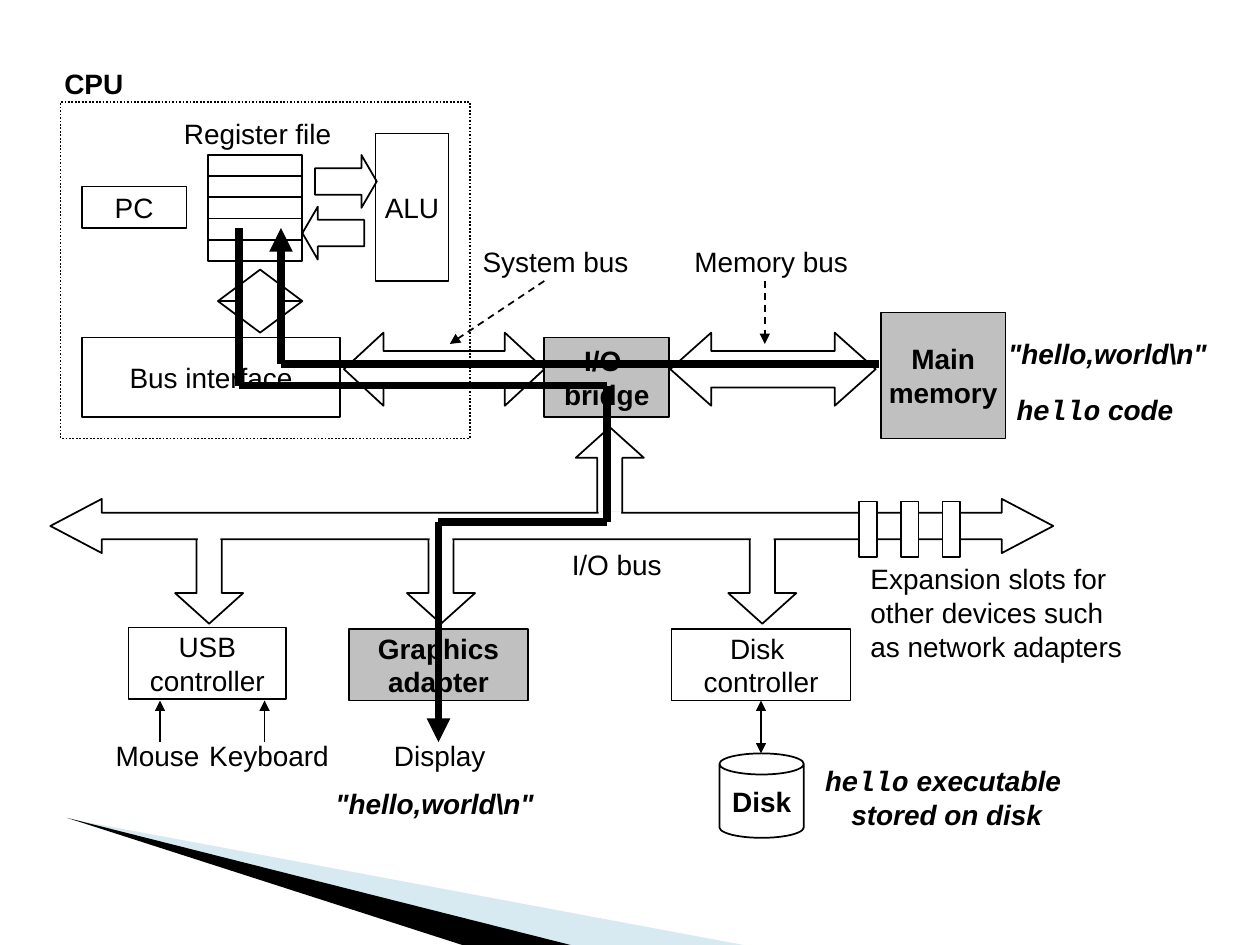
import itertools

import pptx
import pptx.dml.color
import pptx.enum.dml
import pptx.enum.shapes
import pptx.enum.text
import pptx.oxml
import pptx.oxml.ns
import pptx.util
from pptx.util import Inches

BLACK = pptx.dml.color.RGBColor(0x00, 0x00, 0x00)
WHITE = pptx.dml.color.RGBColor(0xFF, 0xFF, 0xFF)
GREY = pptx.dml.color.RGBColor(0xC0, 0xC0, 0xC0)
PALE_BLUE = pptx.dml.color.RGBColor(0x9F, 0xCB, 0xDC)

SHAPE = pptx.enum.shapes.MSO_SHAPE
DASH = pptx.enum.dml.MSO_LINE
ALIGN = pptx.enum.text.PP_ALIGN
ARIAL = "Arial"
MONO = "Courier New"
BOLD = {"bold": True}
STRONG = {"bold": True, "italic": True}
GREETING = '"hello,world\\n"'


def place(box, x, y):
    return Inches(box[0] + x), Inches(box[1] + y)


def add_element(parent, tag, **values):
    element = pptx.oxml.parse_xml(f'<a:{tag} {pptx.oxml.ns.nsdecls("a")}/>')
    for name, value in values.items():
        element.set(name, value)
    parent.append(element)


def write(shape, lines, style=None, align=ALIGN.CENTER):
    frame = shape.text_frame
    frame.word_wrap = False
    frame.vertical_anchor = pptx.enum.text.MSO_ANCHOR.MIDDLE
    for index, line in enumerate(lines):
        para = frame.add_paragraph() if index else frame.paragraphs[0]
        para.alignment = align
        for text, font_name in [(line, ARIAL)] if isinstance(line, str) else line:
            span = para.add_run()
            span.text = text
            span.font.color.rgb = BLACK
            values = {"name": font_name, "size": pptx.util.Pt(16), **(style or {})}
            for name, value in values.items():
                setattr(span.font, name, value)


def add_label(page, box, x, y, width, lines, style=None, align=ALIGN.CENTER, height=0.37):
    label = page.shapes.add_textbox(*place(box, x, y), Inches(width), Inches(height))
    write(label, lines, style, align)
    left, right = (0.1, 0) if align == ALIGN.LEFT else (0.04, 0.04)
    label.text_frame.margin_left = Inches(left)
    label.text_frame.margin_right = Inches(right)
    label.text_frame.auto_size = pptx.enum.text.MSO_AUTO_SIZE.NONE


def add_block(page, box, x, y, width, height, kind=SHAPE.RECTANGLE, fill=None,
              outlined=True, lines=(), style=None, adjust=(), turn=0):
    block = page.shapes.add_shape(kind, *place(box, x, y), Inches(width), Inches(height))
    block.shadow.inherit = False
    block.rotation = turn
    for index, value in enumerate(adjust):
        block.adjustments[index] = value
    if fill is None:
        block.fill.background()
    else:
        block.fill.solid()
        block.fill.fore_color.rgb = fill
    if outlined:
        block.line.color.rgb = BLACK
        block.line.width = pptx.util.Pt(1)
    else:
        block.line.fill.background()
    write(block, lines, style)
    return block


def add_line(page, box, start, end, width=1, dash=None, heads=()):
    line = page.shapes.add_connector(
        pptx.enum.shapes.MSO_CONNECTOR.STRAIGHT, *place(box, *start), *place(box, *end))
    line.line.color.rgb = BLACK
    line.line.width = pptx.util.Pt(width)
    if dash:
        line.line.dash_style = dash
    for head in heads:
        add_element(line.line._get_or_add_ln(), head, type="triangle")
    add_element(line._element.spPr, "effectLst")
    return line


def add_wedge(page, box, points, fill, opacity=None):
    corners = [place(box, *point) for point in points]
    builder = page.shapes.build_freeform(*corners[0])
    builder.add_line_segments(corners[1:])
    wedge = builder.convert_to_shape()
    wedge.shadow.inherit = False
    wedge.fill.solid()
    wedge.fill.fore_color.rgb = fill
    wedge.line.fill.background()
    if opacity:
        colour = wedge._element.spPr.find(".//" + pptx.oxml.ns.qn("a:srgbClr"))
        add_element(colour, "alpha", val=str(opacity * 1000))


def draw_backdrop(page, box):
    add_wedge(page, box, [(0.02, 0.01), (5.37, 1.01), (3.99, 1.01)], PALE_BLUE, 40)
    add_wedge(page, box, [(0, 0), (4, 1.01), (3.14, 1.01)], BLACK)


def draw_cpu(page, box):
    frame = add_block(page, box, 0, 0, 3.25, 2.67)
    frame.line.dash_style = DASH.ROUND_DOT
    add_label(page, box, -0.07, -0.33, 0.67, ["CPU"], BOLD)
    add_block(page, box, 0.17, 0.67, 0.83, 0.33, lines=["PC"])
    add_block(page, box, 0.17, 1.87, 2.05, 0.63, lines=["Bus interface"])
    add_label(page, box, 0.88, 0.06, 1.37, ["Register file"])
    height = 0.84 / 5
    for row in range(5):
        add_block(page, box, 1.17, 0.42 + row * height, 0.75, height)
    for x, y, turn in [(2.02, 0.42, 0), (1.92, 0.83, 180)]:
        add_block(page, box, x, y, 0.49, 0.42, SHAPE.RIGHT_ARROW, adjust=(0.5, 0.29), turn=turn)
    add_block(page, box, 2.5, 0.25, 0.58, 1.17, lines=["ALU"])
    add_block(page, box, 1.25, 1.33, 0.67, 0.5, SHAPE.UP_DOWN_ARROW, adjust=(0.5, 0.2)[::-1])


def draw_memory_path(page, box):
    for x, width, head in [(0, 1.59, 0.54), (2.59, 1.63, 0.56)]:
        add_block(page, box, x, 0.75, width, 0.58, SHAPE.LEFT_RIGHT_ARROW, adjust=(0.5, head))
    add_block(page, box, 1.59, 0.79, 0.99, 0.63, fill=GREY, lines=["I/O ", "bridge"], style=BOLD)
    add_block(page, box, 4.26, 0.59, 0.99, 1, fill=GREY, lines=["Main", "memory"], style=BOLD)
    add_label(page, box, 1, 0, 1.36, ["System bus"])
    add_label(page, box, 2.68, 0, 1.42, ["Memory bus"])
    for start, end in [(1.59, 0.84), (3.34, 3.34)]:
        add_line(page, box, (start, 0.34), (end, 0.84), dash=DASH.DASH, heads=["tailEnd"])
    add_label(page, box, 5.17, 0.73, 1.78, [GREETING], STRONG)
    add_label(page, box, 5.24, 1.17, 1.44, [[("hello", MONO), (" code", ARIAL)]], STRONG)


def draw_io_bus(page, box):
    branches = [(4.17, 0, 0), (0.99, 0.81, 180), (2.83, 0.81, 180), (5.38, 0.81, 180)]
    for x, y, turn in branches:
        add_block(page, box, x, y, 0.54, 0.75, SHAPE.UP_ARROW, adjust=(0.37, 0.45), turn=turn)
    add_block(page, box, 0, 0.57, 7.96, 0.43, SHAPE.LEFT_RIGHT_ARROW, WHITE, adjust=(0.49, 0.95))
    for x, y, turn in branches:
        add_block(page, box, x + 0.18, 0.75 if turn else 0.67, 0.18, 0.17,
                  fill=WHITE, outlined=False)
    for slot in range(3):
        add_block(page, box, 6.42 + slot * 0.33, 0.59, 0.14, 0.44, fill=WHITE)
    add_label(page, box, 4.04, 0.9, 0.91, ["I/O bus"])
    add_label(page, box, 6.41, 1.02, 2.19,
              ["Expansion slots for", "other devices such", "as network adapters"],
              align=ALIGN.LEFT, height=0.9)


def draw_devices(page, box):
    add_block(page, box, 0.2, 0, 1.25, 0.57, lines=["USB", "controller"])
    add_block(page, box, 1.95, 0.01, 1.42, 0.57, fill=GREY,
              lines=["Graphics", "adapter"], style=BOLD)
    controller = add_block(page, box, 4.51, 0.01, 1.42, 0.57, lines=["Disk ", "controller"])
    for x in (0.45, 1.28):
        add_line(page, box, (x, 0.58), (x, 0.91), heads=["headEnd"])
    for x, width, name in [(0, 0.86, "Mouse"), (0.74, 1.15, "Keyboard"), (2.21, 0.92, "Display")]:
        add_label(page, box, x, 0.83, width, [name])
    add_label(page, box, 1.74, 1.21, 1.78, [GREETING], STRONG)
    link = add_line(page, box, (5.22, 0.58), (5.22, 1), heads=["headEnd", "tailEnd"])
    link.begin_connect(controller, 2)
    add_block(page, box, 4.89, 1, 0.67, 0.67, SHAPE.CAN, lines=["Disk"],
              style=BOLD, adjust=(0.25,))
    add_label(page, box, 5.63, 1.03, 2.13,
              [[("hello", MONO), (" executable ", ARIAL)], "stored on disk"],
              STRONG, height=0.64)


def draw_data_routes(page, box):
    load = [(5.08, 1.08), (0.33, 1.08), (0.33, 0)]
    output = [(0, 0), (0, 1.25), (2.92, 1.25), (2.92, 2.33), (1.58, 2.33), (1.58, 4.08)]
    for route in (load, output):
        for start, end in itertools.pairwise(route):
            heads = ["tailEnd"] if end == route[-1] else []
            add_line(page, box, start, end, width=4.5, heads=heads)


def main():
    deck = pptx.Presentation()
    deck.slide_width, deck.slide_height = Inches(10), Inches(7.5)
    page = deck.slides.add_slide(deck.slide_layouts[6])
    draw_backdrop(page, (0.53, 6.49))
    draw_memory_path(page, (2.73, 1.89))
    draw_cpu(page, (0.48, 0.81))
    draw_io_bus(page, (0.4, 3.39))
    draw_devices(page, (0.82, 4.98))
    draw_data_routes(page, (1.9, 1.81))
    deck.save("out.pptx")


if __name__ == "__main__":
    main()
